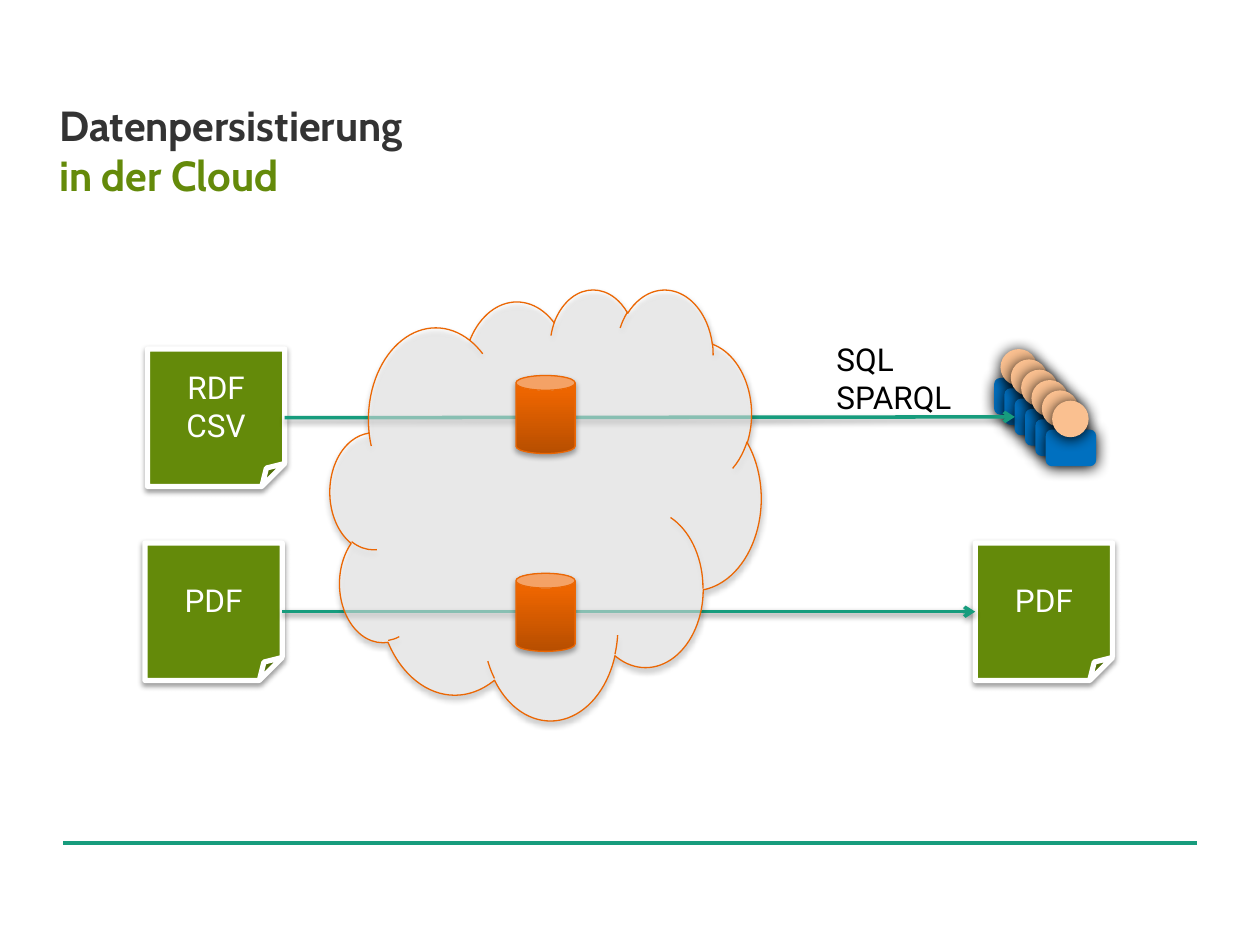
from lxml import etree
from pptx import Presentation
from pptx import util as u
from pptx.dml.color import RGBColor
from pptx.enum import shapes, text
from pptx.oxml.ns import qn

THEME = {
    "dark": "333333", "black": "000000", "white": "FFFFFF",
    "green": "648A0A", "teal": "179C7D", "orange": "EB6704",
    "blue": "0070C0", "skin": "FAC090",
    "can_stops": [(0, "B74E00"), (80, "ED6500"), (100, "EE6600")],
    "title_font": "Cabin", "body_font": "Roboto",
    "title_size": 24, "body_size": 18,
}
# Shadows: opacity in percent, blur and distance in points
SOFT, MEDIUM, STRONG = (35, 3.1, 1.8), (38, 3.1, 1.6), (100, 8.5, 1)

WIDTH, HEIGHT = 10, 7.5
MARGIN = 0.5
TITLE = [("Datenpersistierung", "dark"), ("in der Cloud", "green")]
QUERIES = ["SQL", "SPARQL"]
PAGE = 1.09
PAGES = {  # name: left, top, lines
    "pdf_out": (7.74, 4.31, ["PDF"]),
    "pdf_in": (1.15, 4.31, ["PDF"]),
    "data_in": (1.17, 2.77, ["RDF", "CSV"]),
}
CLOUD = (2.62, 2.29, 3.42, 3.42)
CAN_SIZE = (0.47, 0.62)
CAN_TOPS = [2.98, 4.55]
PEOPLE, PERSON_STEP = 6, 0.082
BODY, HEAD = (7.89, 3, 0.4, 0.29), (7.94, 2.77, 0.29, 0.29)
QUERIED_PERSON = 2

presentation = Presentation()
presentation.slide_width, presentation.slide_height = u.Inches(WIDTH), u.Inches(HEIGHT)
slide = presentation.slides.add_slide(presentation.slide_layouts[6])


def color(name):
    return RGBColor.from_string(THEME[name])


def add_xml(parent, tag, **attributes):
    return etree.SubElement(parent, qn(tag), {k: str(v) for k, v in attributes.items()})


def set_shadow(item, shadow=None):
    properties = item._element.spPr
    for old in properties.findall(qn("a:effectLst")):
        properties.remove(old)
    effects = add_xml(properties, "a:effectLst")
    if shadow:
        opacity, blur, distance = shadow
        outer = add_xml(effects, "a:outerShdw", blurRad=u.Pt(blur), dist=u.Pt(distance),
                        dir=90 * 60000, algn="ctr", rotWithShape=0)
        black = add_xml(outer, "a:srgbClr", val=THEME["black"])
        add_xml(black, "a:alpha", val=opacity * 1000)


def write(frame, lines, *, fill, font="body_font", size="body_size", bold=False, align=None):
    """Put each line in a paragraph of its own."""
    for index, line in enumerate(lines):
        paragraph = frame.paragraphs[0] if index == 0 else frame.add_paragraph()
        paragraph.alignment = align
        add_run(paragraph, line, fill=fill, font=font, size=size, bold=bold)


def add_run(paragraph, line, *, fill, font, size, bold):
    run = paragraph.add_run()
    run.text = line
    run.font.name, run.font.size, run.font.bold = THEME[font], u.Pt(THEME[size]), bold
    run.font.color.rgb = color(fill)


def add_box(box, wrap=True, inset=None):
    frame = slide.shapes.add_textbox(*map(u.Inches, box)).text_frame
    frame.word_wrap = wrap
    if inset is not None:
        frame.margin_left = frame.margin_top = frame.margin_right = frame.margin_bottom = inset
    return frame


def add_shape(parent, kind, box, fill, shadow, line=None, width=0.75):
    shape = parent.add_shape(kind, *map(u.Inches, box))
    shape.fill.solid()
    shape.fill.fore_color.rgb = color(fill)
    if line:
        shape.line.color.rgb, shape.line.width = color(line), u.Pt(width)
    else:
        shape.line.fill.background()
    set_shadow(shape, shadow)
    return shape


def add_line(start, end, width, shadow=None):
    line = slide.shapes.add_connector(shapes.MSO_CONNECTOR.STRAIGHT, *map(u.Inches, start + end))
    line.line.color.rgb, line.line.width = color("teal"), u.Pt(width)
    set_shadow(line, shadow)
    return line


def add_arrow(source, target):
    arrow = add_line((0, 0), (1, 1), 2, MEDIUM)
    arrow.begin_connect(source, 3)
    arrow.end_connect(target, 1)
    add_xml(arrow.line._get_or_add_ln(), "a:tailEnd", type="arrow")


def set_can_gradient(can):
    properties = can._element.spPr
    solid = properties.find(qn("a:solidFill"))
    gradient = etree.Element(qn("a:gradFill"), rotWithShape="1")
    stops = add_xml(gradient, "a:gsLst")
    for position, value in THEME["can_stops"]:
        add_xml(add_xml(stops, "a:gs", pos=position * 1000), "a:srgbClr", val=value)
    add_xml(gradient, "a:lin", ang=270 * 60000, scaled=0)
    properties.replace(solid, gradient)


# Rule at the foot and title
add_line((MARGIN, 6.69), (WIDTH - MARGIN, 6.69), 2.5)
title = add_box((0.47, 0.79, 9.06, 0.79), inset=0).paragraphs[0]
for index, (line, fill) in enumerate(TITLE):
    if index:
        title.add_line_break()
    add_run(title, line, fill=fill, font="title_font", size="title_size", bold=True)

# Documents
pages = {}
for name, (left, top, lines) in PAGES.items():
    page = add_shape(slide.shapes, shapes.MSO_SHAPE.FOLDED_CORNER, (left, top, PAGE, PAGE),
                     "green", MEDIUM, "white", 3)
    page.text_frame.vertical_anchor = text.MSO_ANCHOR.MIDDLE
    write(page.text_frame, lines, fill="white", align=text.PP_ALIGN.CENTER)
    pages[name] = page

# Row of users, each one a step further down and right
users = slide.shapes.add_group_shape()
bodies = []
for index in range(PEOPLE):
    shift = index * PERSON_STEP
    for kind, (left, top, *size), fill in [
        (shapes.MSO_SHAPE.ROUNDED_RECTANGLE, BODY, "blue"),
        (shapes.MSO_SHAPE.OVAL, HEAD, "skin"),
    ]:
        part = add_shape(users.shapes, kind, (left + shift, top + shift, *size), fill, STRONG)
        if fill == "blue":
            bodies.append(part)

# Data flows
add_arrow(pages["data_in"], bodies[QUERIED_PERSON])
add_arrow(pages["pdf_in"], pages["pdf_out"])

# Half-transparent cloud with its two stores, centred
cloud = add_shape(slide.shapes, shapes.MSO_SHAPE.CLOUD, CLOUD, "white", SOFT, "orange")
add_xml(cloud._element.spPr.find(qn("a:solidFill"))[0], "a:alpha", val=50000)
can_left = CLOUD[0] + (CLOUD[2] - CAN_SIZE[0]) / 2
for top in CAN_TOPS:
    can = add_shape(slide.shapes, shapes.MSO_SHAPE.CAN, (can_left, top, *CAN_SIZE),
                    "white", SOFT, "orange")
    set_can_gradient(can)

# Query languages
write(add_box((6.54, 2.65, 1.21, 0.71), wrap=False), QUERIES, fill="black")

presentation.save("out.pptx")
